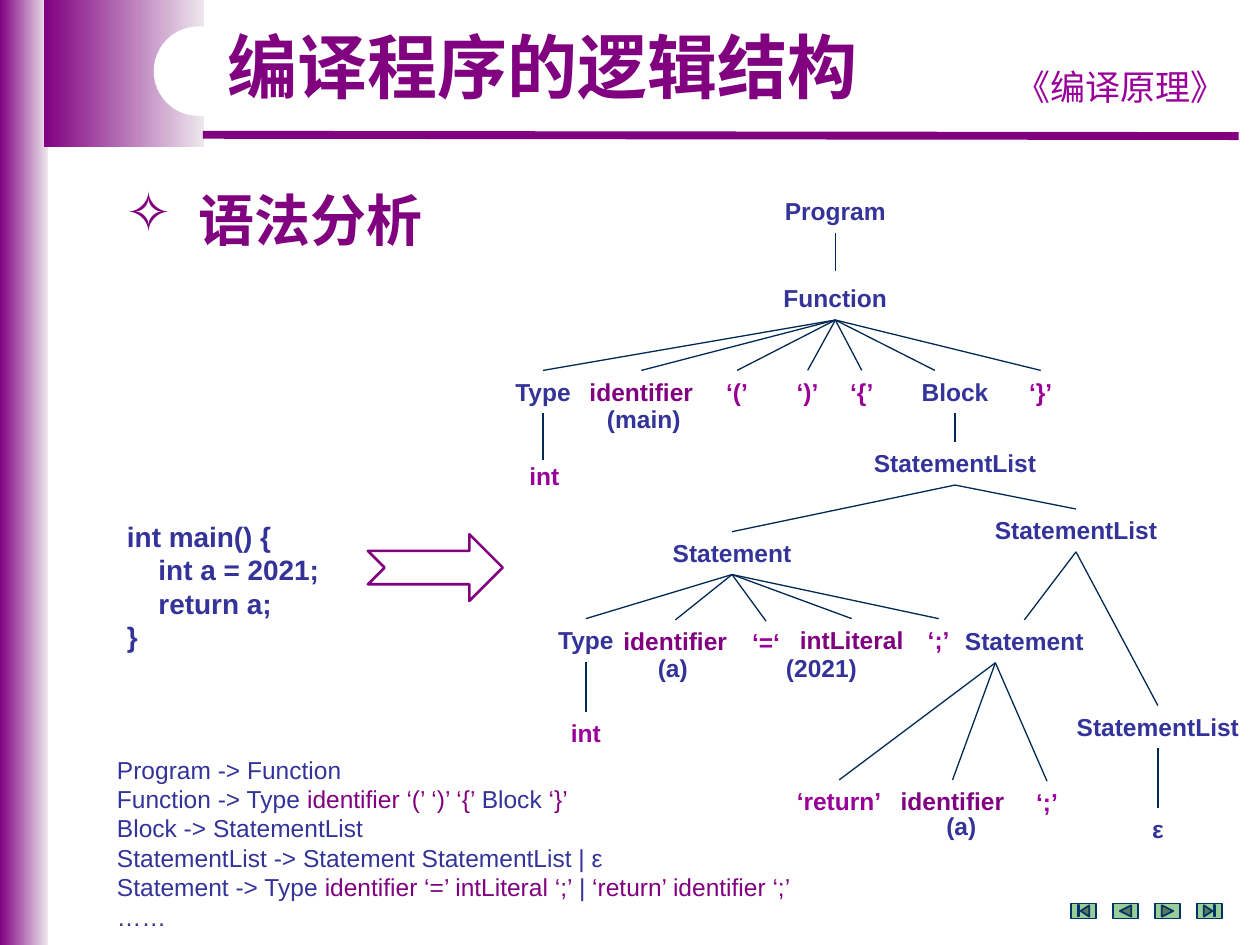
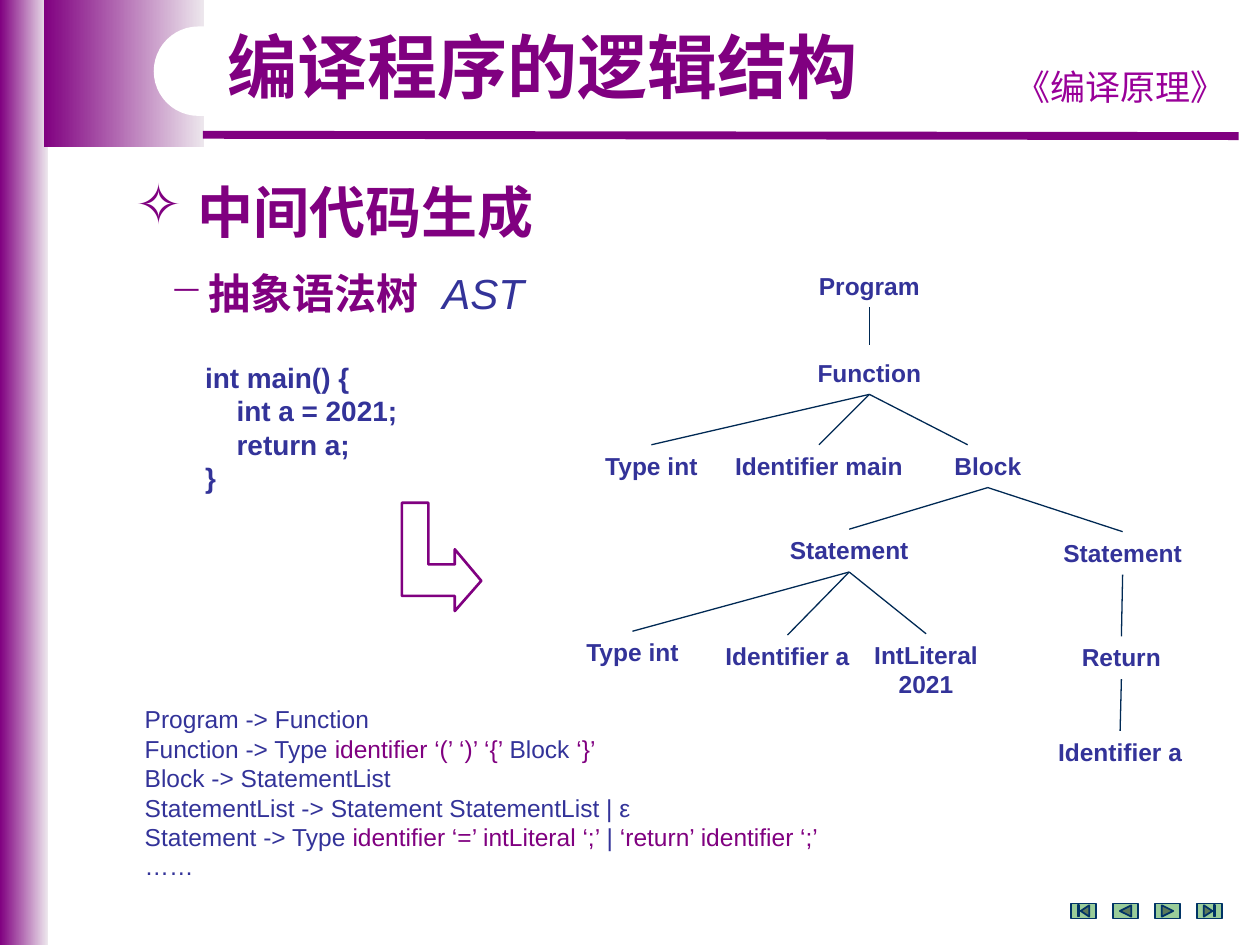
from dataclasses import dataclass
from lxml import etree
from pptx import Presentation
from pptx import util as u
from pptx.dml import color
from pptx.enum import shapes, text
from pptx.oxml import ns


class Theme:
    """Colours, fonts and type sizes of the deck."""
    purple, violet, blue = "800080", "990099", "333399"
    pale, white, edge = "EDE7ED", "FFFFFF", "002954"
    button, button_line = "99CC99", "003366"
    latin, cjk = "Arial", "Noto Sans CJK SC"
    title, heading, sub, course, code, body = 40, 32, 24, 20, 16, 14


T = Theme
MS = shapes.MSO_SHAPE
NODE_H = 0.34


@dataclass
class Node:
    """A tree label centred at x; its children hang below it."""
    label: str
    x: float
    y: float
    w: float = 1.1
    kids: tuple = ()
    tone: str = T.blue
    h: float = NODE_H
    enter: tuple = None   # where the edge from above ends, if not top centre
    leave: float = None   # x where edges to children start, if not the centre
    linked: bool = True


def token(label, x, y, w=0.53):
    """A quoted token or keyword leaf."""
    return Node(label, x, y, w, tone=T.violet)


def name(label, x, y, *kids):
    """A terminal class such as identifier."""
    return Node(label, x, y, 1.1, kids, T.purple)


def note(label, x, y):
    """A value written under a terminal, without an edge."""
    return Node(label, x, y, linked=False)


# ---- content ----
TITLE, COURSE = "编译程序的逻辑结构", "《编译原理》"
CODE = [("int main() {", 0), ("int a = 2021;", 0.25), ("return a;", 0.25), ("}", 0)]
GRAMMAR = [
    [("Program -> Function", T.blue)],
    [("Function -> Type ", T.blue), ("identifier ‘(’ ‘)’ ‘{’ ", T.purple),
     ("Block ", T.blue), ("‘}’", T.purple)],
    [("Block -> StatementList", T.blue)],
    [("StatementList -> Statement StatementList | ε", T.blue)],
    [("Statement -> Type ", T.blue), ("identifier ‘=’ intLiteral ‘;’ ", T.purple),
     ("| ", T.blue), ("‘return’ identifier ‘;’", T.purple)],
    [("……", T.blue)],
]
BUTTONS = [MS.ACTION_BUTTON_BEGINNING, MS.ACTION_BUTTON_BACK_OR_PREVIOUS,
           MS.ACTION_BUTTON_FORWARD_OR_NEXT, MS.ACTION_BUTTON_END]
BENT_ARROW = [(3.82, 4.61), (3.61, 4.36), (3.61, 4.48), (3.4, 4.48), (3.4, 3.99),
              (3.19, 3.99), (3.19, 4.73), (3.61, 4.73), (3.61, 4.85)]

DECLARATION = Node("Statement", 5.81, 4.22, 1.14, (
    Node("Type", 4.65, 4.91, 0.7, (token("int", 4.65, 5.65, 1.1),)),
    name("identifier", 5.36, 4.92, note("(a)", 5.34, 5.13)),
    token("‘=‘", 6.08, 4.93),
    name("intLiteral", 6.76, 4.91, note("(2021)", 6.52, 5.13)),
    token("‘;’", 7.45, 4.91)))
RETURN = Node("Statement", 8.13, 4.92, 1.14, (
    token("‘return’", 6.66, 6.19, 1.1),
    name("identifier", 7.56, 6.19, note("(a)", 7.63, 6.39)),
    token("‘;’", 8.31, 6.2)), leave=7.9)
REST = Node("StatementList", 8.54, 4.04, 1.55, (
    RETURN,
    Node("StatementList", 9.19, 5.6, 1.55, (Node("ε", 9.19, 6.41, 1.14),))))
PARSE_TREE = Node("Program", 6.63, 1.51, 1.17, (
    Node("Function", 6.63, 2.2, 2.13, (
        Node("Type", 4.31, 2.94, 0.7,
             (Node("int", 4.32, 3.61, tone=T.violet, enter=(4.31, 3.65)),)),
        name("identifier", 5.09, 2.94, note("(main)", 5.11, 3.16)),
        token("‘(’", 5.85, 2.94),
        token("‘)’", 6.41, 2.94),
        token("‘{’", 6.84, 2.94),
        Node("Block", 7.58, 2.94, 1.1, (
            Node("StatementList", 7.58, 3.51, 1.55, (DECLARATION, REST)),),
            enter=(7.42, 2.94)),
        token("‘}’", 8.26, 2.94)), enter=(6.63, 2.15)),))

SYNTAX_TREE = Node("Program", 6.9, 2.1, 1.17, (
    Node("Function", 6.9, 2.79, 2.13, (
        Node("Type int", 5.17, 3.53, 1.16),
        Node("Identifier main", 6.5, 3.53, 1.61),
        Node("Block", 7.84, 3.53, 1.1, (
            Node("Statement", 6.74, 4.2, 1.14, (
                Node("Type int", 5.02, 5.01, 1.14),
                Node("Identifier a", 6.25, 5.04, 1.2),
                Node("IntLiteral 2021", 7.35, 5.03, h=0.57))),
            Node("Statement", 8.91, 4.22, 1.14, (
                Node("Return", 8.9, 5.05, 1.1, (
                    Node("Identifier a", 8.89, 5.8, 1.23),)),))),
            enter=(7.68, 3.53))), enter=(6.9, 2.74)),))


# ---- drawing helpers ----
def rgb(hex_code):
    """Turn a hex string into a colour."""
    return color.RGBColor.from_string(hex_code)


def inches(*values):
    """Turn numbers into lengths."""
    return [u.Inches(v) for v in values]


def add_box(s, at, side=0.1, top=0.05):
    """Add an empty wrapping text box and return its frame."""
    tf = s.shapes.add_textbox(*inches(*at)).text_frame
    tf.word_wrap = True
    tf.margin_left = tf.margin_right = u.Inches(side)
    tf.margin_top = u.Inches(top)
    return tf


def paragraphs(tf, count):
    """Return the given number of paragraphs of a fresh frame."""
    return [tf.paragraphs[0]] + [tf.add_paragraph() for _ in range(count - 1)]


def add_run(p, words, size, tone, bold=False, italic=False, font=T.latin):
    """Add one styled run, with the same face for Latin and Chinese."""
    r = p.add_run()
    r.text = words
    f = r.font
    f.size, f.bold, f.italic, f.name = u.Pt(size), bold, italic, font
    f.color.rgb = rgb(tone)
    latin = r._r.rPr.find(ns.qn("a:latin"))
    ea = etree.Element(ns.qn("a:ea"), typeface=font)
    latin.addnext(ea)


def set_indent(p, left, hang=0, bullet=None):
    """Indent a paragraph, with a purple bullet if one is given."""
    pPr = p._p.get_or_add_pPr()
    pPr.set("marL", str(u.Inches(left)))
    pPr.set("indent", str(-u.Inches(hang)))
    if bullet:
        clr = etree.SubElement(pPr, ns.qn("a:buClr"))
        etree.SubElement(clr, ns.qn("a:srgbClr"), val=T.purple)
        etree.SubElement(pPr, ns.qn("a:buChar"), char=bullet)


def paint(sp, fill=None, line=None, width=1):
    """Set fill and outline; None means empty."""
    sp.shadow.inherit = False
    if fill:
        sp.fill.solid()
        sp.fill.fore_color.rgb = rgb(fill)
    else:
        sp.fill.background()
    if line:
        sp.line.color.rgb = rgb(line)
        sp.line.width = u.Pt(width)
    else:
        sp.line.fill.background()
    return sp


def add_shape(s, kind, at, **style):
    """Add a painted preset shape."""
    return paint(s.shapes.add_shape(kind, *inches(*at)), **style)


def add_line(s, start, end, tone=T.edge, width=0.75):
    """Add a straight line without a shadow."""
    c = s.shapes.add_connector(shapes.MSO_CONNECTOR.STRAIGHT, *inches(*start, *end))
    c.line.color.rgb = rgb(tone)
    c.line.width = u.Pt(width)
    etree.SubElement(c._element.spPr, ns.qn("a:effectLst"))


def add_band(s, at):
    """Add a rectangle fading from purple to pale."""
    sp = add_shape(s, MS.RECTANGLE, at)
    sp.fill.gradient()
    sp.fill.gradient_angle = 0
    for stop, tone in zip(sp.fill.gradient_stops, (T.purple, T.pale)):
        stop.color.rgb = rgb(tone)
    for stop, place in zip(sp.fill.gradient_stops, (0, 1)):
        stop.position = place


def add_frame(prs):
    """Start a slide with bands, rule, course name, title and buttons."""
    s = prs.slides.add_slide(prs.slide_layouts[6])
    add_band(s, (0, 0, 0.38, 7.5))
    add_band(s, (0.35, 0, 1.27, 1.17))
    add_line(s, (1.61, 1.07), (9.83, 1.08), T.purple, 4.5)
    p = add_box(s, (7.91, 0.52, 1.97, 0.43), top=0).paragraphs[0]
    p.alignment = text.PP_ALIGN.CENTER
    add_run(p, COURSE, T.course, T.violet, font=T.cjk)
    pill = add_shape(s, MS.ROUNDED_RECTANGLE, (1.22, 0.21, 3.62, 0.71), fill=T.white)
    pill.adjustments[0] = 0.5
    tf = add_box(s, (1.65, 0.21, 5.31, 0.7))
    tf.vertical_anchor = text.MSO_ANCHOR.MIDDLE
    p = tf.paragraphs[0]
    p.alignment, p.line_spacing = text.PP_ALIGN.CENTER, 0.9
    add_run(p, TITLE, T.title, T.purple, bold=True)
    for i, kind in enumerate(BUTTONS):
        add_shape(s, kind, (8.5 + i / 3, 7.17, 0.2, 0.12),
                  fill=T.button, line=T.button_line)
    return s


def add_heading(s, at, words, left, hang, top, font):
    """Add the bulleted slide heading and return its frame."""
    tf = add_box(s, at, top=top)
    p = tf.paragraphs[0]
    set_indent(p, left, hang, "✧")
    add_run(p, words, T.heading, T.purple, bold=True, font=font)
    return tf


def add_code(s, left, top):
    """Add the sample program."""
    tf = add_box(s, (left, top, 2.13, 1.18))
    for p, (words, indent) in zip(paragraphs(tf, len(CODE)), CODE):
        set_indent(p, indent)
        add_run(p, words, T.code, T.blue, bold=True)


def add_grammar(s, left, top):
    """Add the grammar rules."""
    tf = add_box(s, (left, top, 5.68, 1.51))
    for p, rule in zip(paragraphs(tf, len(GRAMMAR)), GRAMMAR):
        for words, tone in rule:
            add_run(p, words, T.body, tone)


def add_tree(s, node):
    """Draw a node, then the edges to its children and their subtrees."""
    tf = add_box(s, (node.x - node.w / 2, node.y, node.w, node.h), side=0)
    p = tf.paragraphs[0]
    p.alignment = text.PP_ALIGN.CENTER
    add_run(p, node.label, T.body, node.tone, bold=True)
    start = (node.leave or node.x, node.y + NODE_H)
    for kid in node.kids:
        if kid.linked:
            add_line(s, start, kid.enter or (kid.x, kid.y))
        add_tree(s, kid)


# ---- slides ----
prs = Presentation()
prs.slide_width, prs.slide_height = inches(10, 7.5)

s = add_frame(prs)
add_heading(s, (0.9, 1.47, 8.82, 0.63), "语法分析", 0.58, 0.58, 0, T.cjk)
arrow = add_shape(s, MS.NOTCHED_RIGHT_ARROW, (2.92, 4.24, 1.07, 0.53),
                  line=T.purple, width=1.5)
arrow.adjustments[0], arrow.adjustments[1] = 0.5, 0.5
add_code(s, 0.91, 4.07)
add_grammar(s, 0.83, 5.94)
add_tree(s, PARSE_TREE)

s = add_frame(prs)
tf = add_heading(s, (0.98, 1.31, 8.35, 1.21), "中间代码生成", 0.49, 0.49, 0.1, T.latin)
p = tf.add_paragraph()
p.level, p.space_before = 1, u.Pt(13)
set_indent(p, 0.58, 0.31, "−")
add_run(p, "抽象语法树 ", T.sub, T.purple, bold=True)
add_run(p, " AST", T.sub, T.blue, italic=True)
points = [inches(*xy) for xy in BENT_ARROW]
outline = s.shapes.build_freeform(*points[0])
outline.add_line_segments(points[1:], close=True)
paint(outline.convert_to_shape(), line=T.purple, width=1.5)
add_code(s, 1.53, 2.81)
add_grammar(s, 1.05, 5.54)
add_tree(s, SYNTAX_TREE)

prs.save("out.pptx")
